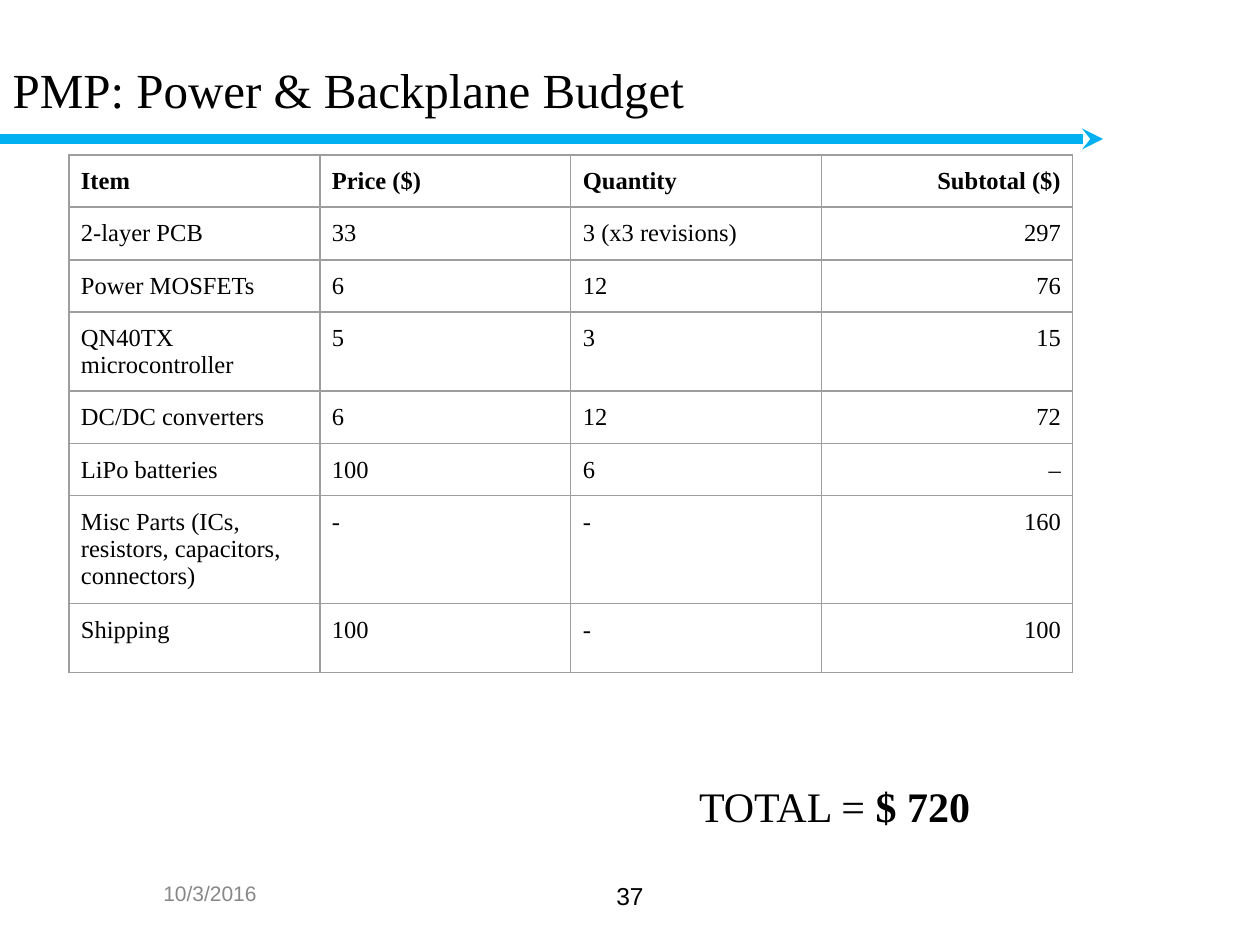
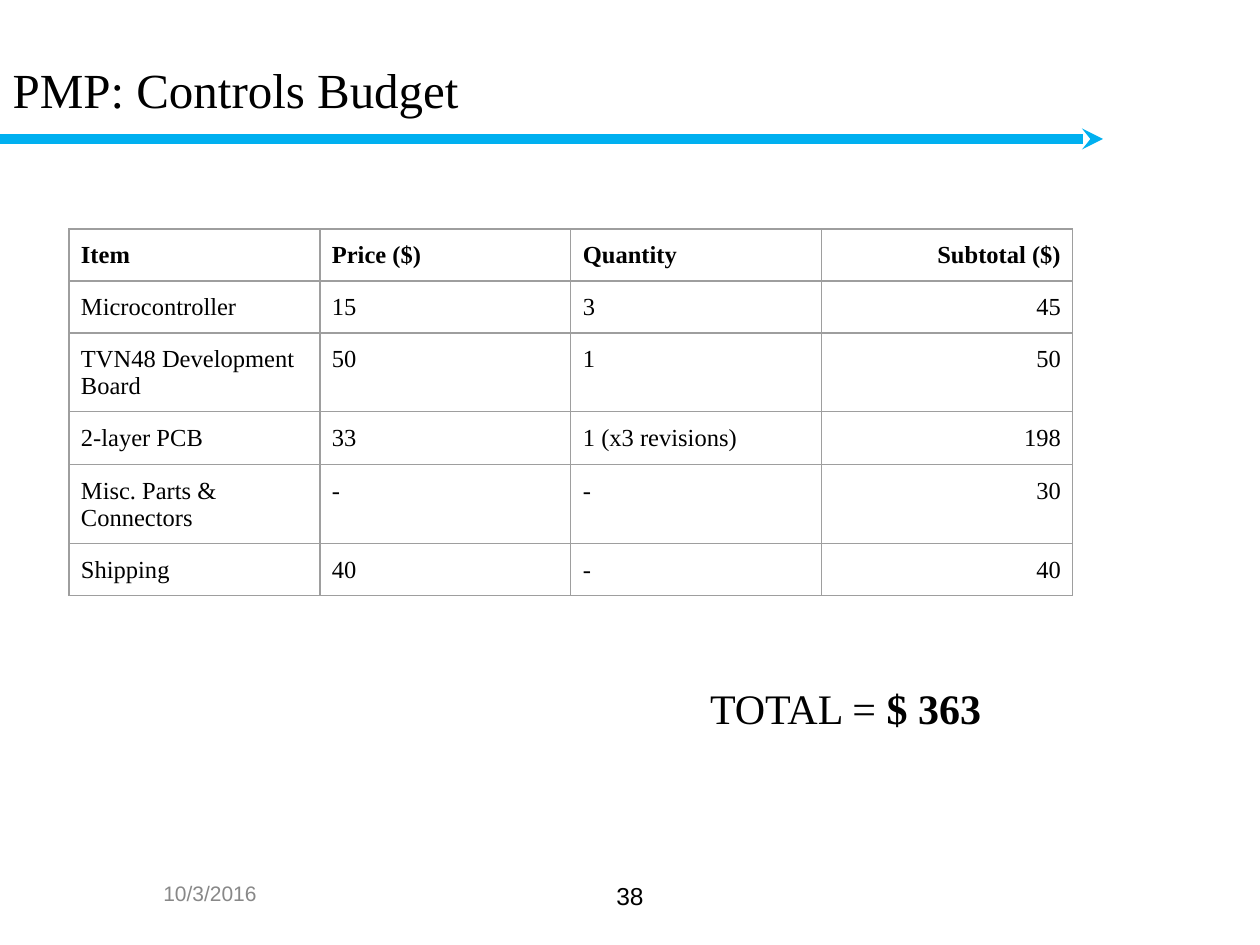
from dataclasses import dataclass
from lxml.etree import SubElement
from pptx import Presentation
from pptx.dml.color import RGBColor as RGB
from pptx.enum.shapes import MSO_CONNECTOR as LINE
from pptx.enum.text import MSO_ANCHOR as ANCHOR, MSO_AUTO_SIZE as AUTO, PP_ALIGN as ALIGN
from pptx.oxml import parse_xml
from pptx.oxml.ns import nsdecls, qn
from pptx.util import Pt


@dataclass
class Theme:
    serif: str = "Times New Roman"
    sans: str = "Arial"
    ink: str = "000000"
    gray: str = "888888"
    blue: str = "00B0F0"
    rule: str = "9E9E9E"
    head: int = 28
    total: int = 24
    cell: int = 14
    page: int = 14
    date: int = 12


theme = Theme()


def px(n):
    return round(n * 914400 / 126)


def style(para, face, size, color, align=ALIGN.LEFT):
    para.alignment = align
    font = para.font
    font.name, font.size = face, Pt(size)
    font.color.rgb = RGB.from_string(color)


# Slide content: row heights stand beside their cells
header = (52, "Item", "Price ($)", "Quantity", "Subtotal ($)")
slides = [
    dict(title="PMP: Power & Backplane Budget", page="37", top=155,
         sum="$ 720", box=(686, 768, 387, 73), rows=[
             header,
             (53, "2-layer PCB", "33", "3 (x3 revisions)", "297"),
             (52, "Power MOSFETs", "6", "12", "76"),
             (79, "QN40TX microcontroller", "5", "3", "15"),
             (53, "DC/DC converters", "6", "12", "72"),
             (52, "LiPo batteries", "100", "6", "–"),
             (108, "Misc Parts (ICs, resistors, capacitors, connectors)", "-", "-", "160"),
             (69, "Shipping", "100", "-", "100")]),
    dict(title="PMP: Controls Budget", page="38", top=229,
         sum="$ 363", box=(697, 670, 383, 73), rows=[
             header,
             (52, "Microcontroller", "15", "3", "45"),
             (79, "TVN48 Development Board", "50", "1", "50"),
             (53, "2-layer PCB", "33", "1 (x3 revisions)", "198"),
             (79, "Misc. Parts & Connectors", "-", "-", "30"),
             (52, "Shipping", "40", "-", "40")]),
]

deck = Presentation()
deck.slide_width, deck.slide_height = px(1260), px(945)

for data in slides:
    slide = deck.slides.add_slide(deck.slide_layouts[5])
    shapes = slide.shapes

    # Title
    title = shapes.title
    title.left, title.top, title.width, title.height = px(0), px(10), px(1134), px(158)
    frame = title.text_frame
    frame.text = data["title"]
    frame.auto_size, frame.vertical_anchor = AUTO.NONE, ANCHOR.MIDDLE
    style(frame.paragraphs[0], theme.serif, theme.head, theme.ink)

    # Arrow under the title
    arrow = shapes.add_connector(LINE.STRAIGHT, px(0), px(139), px(1103), px(139))
    arrow.line.color.rgb = RGB.from_string(theme.blue)
    arrow.line.width = Pt(6)
    SubElement(arrow.line._get_or_add_ln(), qn("a:tailEnd"), type="stealth", w="sm", len="sm")
    SubElement(arrow._element.spPr, qn("a:effectLst"))

    # Page number and date
    for text, left, top, size, color, anchor in [
            (data["page"], 483, 875, theme.page, theme.ink, ANCHOR.TOP),
            ("10/3/2016", 63, 860, theme.date, theme.gray, ANCHOR.MIDDLE)]:
        frame = shapes.add_textbox(px(left), px(top), px(294), px(66)).text_frame
        frame.word_wrap, frame.vertical_anchor = True, anchor
        frame.text = text
        style(frame.paragraphs[0], theme.sans, size, color, ALIGN.CENTER)

    # Budget table: a small bottom margin lets the row heights hold
    rows = data["rows"]
    high = sum(row[0] for row in rows)
    grid = shapes.add_table(len(rows), 4, px(69), px(data["top"]), px(1004), px(high)).table
    grid.first_row = grid.horz_banding = False
    for r, (tall, *texts) in enumerate(rows):
        grid.rows[r].height = px(tall)
        for c, text in enumerate(texts):
            cell = grid.cell(r, c)
            cell.text = text
            cell.margin_left = cell.margin_right = px(12)
            cell.margin_top, cell.margin_bottom = px(13), px(4)
            cell.fill.background()
            para = cell.text_frame.paragraphs[0]
            style(para, theme.serif, theme.cell, theme.ink,
                  ALIGN.RIGHT if c == 3 else ALIGN.LEFT)
            para.font.bold = r == 0
            for i, side in enumerate("LRTB"):
                cell._tc.get_or_add_tcPr().insert(i, parse_xml(
                    f'<a:ln{side} {nsdecls("a")} w="{Pt(0.75)}"><a:solidFill>'
                    f'<a:srgbClr val="{theme.rule}"/></a:solidFill></a:ln{side}>'))

    # Total
    frame = shapes.add_textbox(*map(px, data["box"])).text_frame
    frame.word_wrap = True
    frame.margin_left = frame.margin_right = px(13)
    frame.margin_top = frame.margin_bottom = px(13)
    para = frame.paragraphs[0]
    style(para, theme.serif, theme.total, theme.ink)
    para.add_run().text = "TOTAL = "
    run = para.add_run()
    run.text, run.font.bold = data["sum"], True

deck.save("out.pptx")
